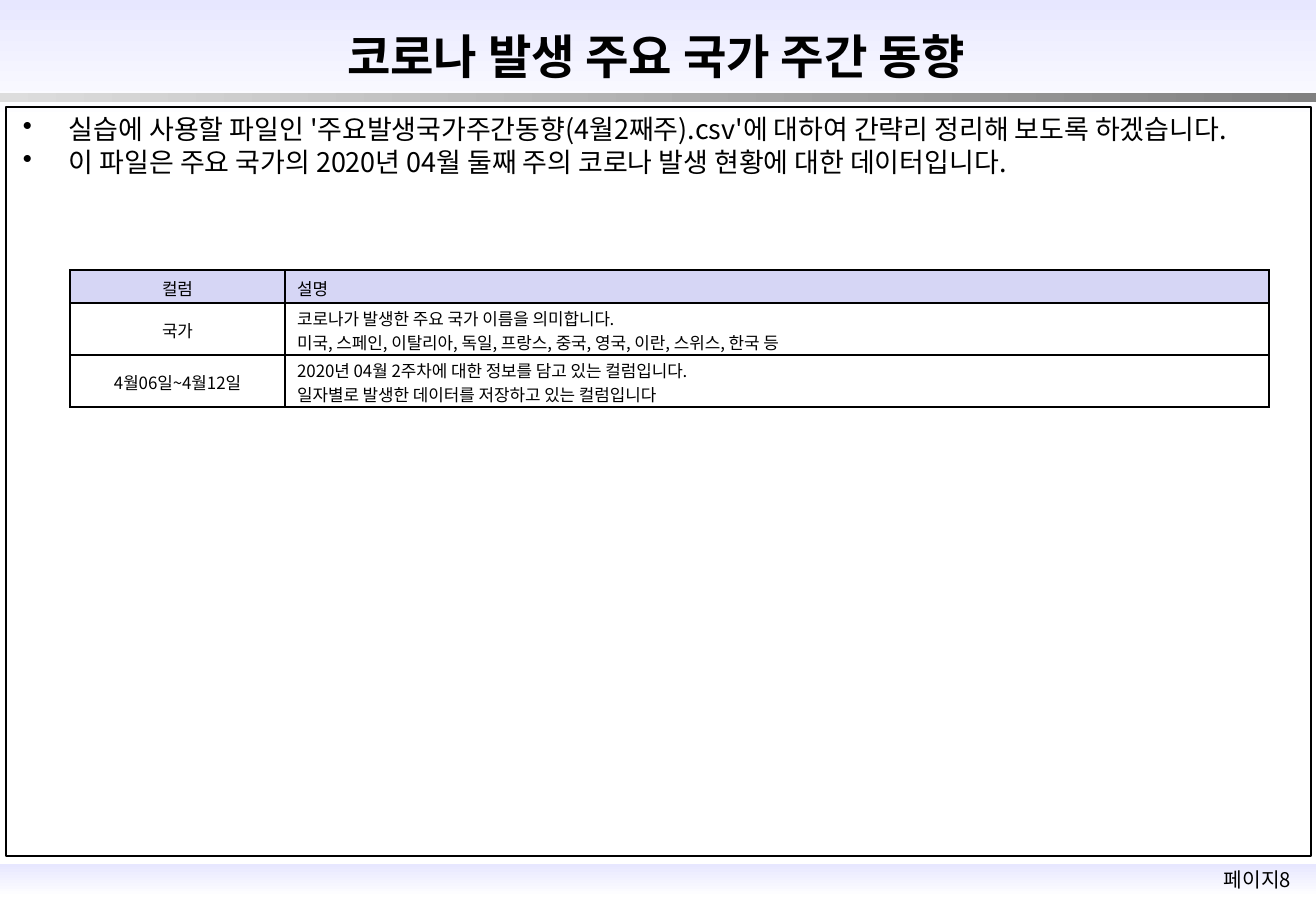
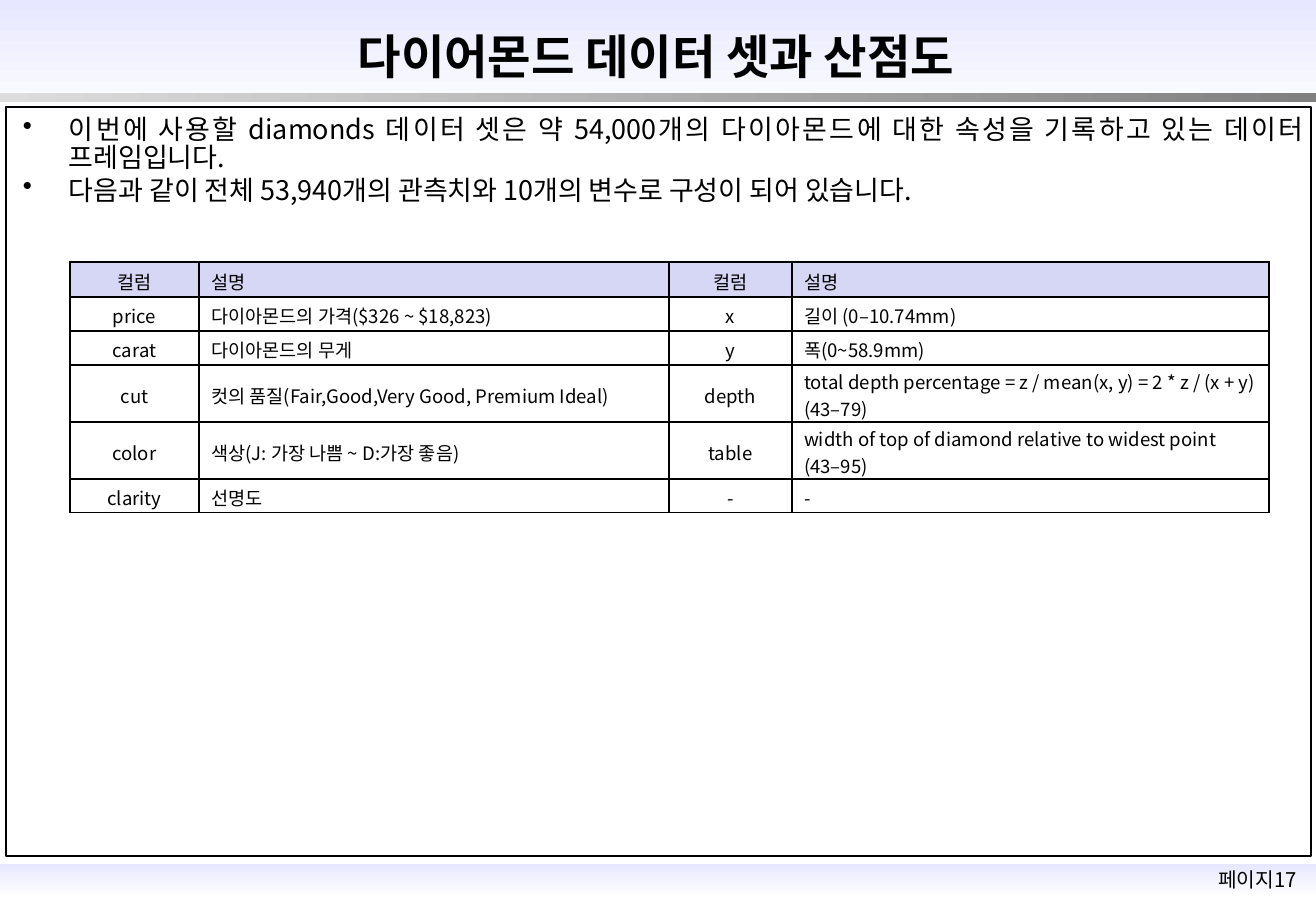
from dataclasses import dataclass

from lxml.etree import SubElement
from pptx import Presentation
from pptx.dml.color import RGBColor as RGB
from pptx.enum.shapes import MSO_SHAPE as Preset
from pptx.enum.text import MSO_ANCHOR as Anchor, PP_ALIGN as Align
from pptx.oxml import parse_xml
from pptx.oxml.ns import nsdecls, qn
from pptx.util import Emu, Pt

PX_PER_INCH = 121.5


def px(length: int) -> Emu:
    return Emu(round(length * 914400 / PX_PER_INCH))


@dataclass(frozen=True)
class Theme:
    font: str = "Noto Sans CJK KR"
    ink: str = "000000"
    paper: str = "FFFFFF"
    lavender: str = "E7E7FF"
    header_cell: str = "D6D6F5"
    stripe_light: str = "DDDDDD"
    stripe_dark: str = "808080"
    title_size: int = 28
    body_size: int = 16
    page_size: int = 12
    frame_width: float = 1.5
    border_width: float = 1


@dataclass(frozen=True)
class Box:
    left: int
    top: int
    width: int
    height: int

    def emu(self) -> tuple[Emu, ...]:
        return tuple(px(n) for n in (self.left, self.top, self.width, self.height))


@dataclass(frozen=True)
class Band:
    box: Box
    start: str
    end: str
    angle: int


@dataclass(frozen=True)
class ColumnGuide:
    top: int
    size: int
    widths: tuple[int, ...]
    heights: tuple[int, ...]
    rows: tuple[tuple[str, ...], ...]


@dataclass(frozen=True)
class Page:
    number: int
    title: str
    bullets: tuple[str, ...]
    bullet_align: Align
    bullets_height: int
    guide: ColumnGuide


THEME = Theme()
SLIDE_WIDTH, SLIDE_HEIGHT = 1316, 911
GUIDE_LEFT = 70
BULLET_INDENT = 46
TITLE_BOX = Box(169, 21, 974, 70)
PAGE_NUMBER_BOX = Box(1193, 861, 129, 36)
FRAME_BOX = Box(6, 107, 1305, 749)
BANDS = (
    Band(Box(0, 864, SLIDE_WIDTH, 33), THEME.lavender, THEME.paper, 270),
    Band(Box(0, 0, SLIDE_WIDTH, 122), THEME.lavender, THEME.paper, 270),
    Band(Box(0, 93, SLIDE_WIDTH, 9), THEME.stripe_light, THEME.stripe_dark, 0),
)

PAGES = (
    Page(
        8, "코로나 발생 주요 국가 주간 동향",
        ("실습에 사용할 파일인 '주요발생국가주간동향(4월2째주).csv'에 대하여 간략리 정리해 보도록 하겠습니다.",
         "이 파일은 주요 국가의 2020년 04월 둘째 주의 코로나 발생 현황에 대한 데이터입니다."),
        Align.LEFT, 157,
        ColumnGuide(270, 10, (215, 984), (33, 52, 52), (
            ("컬럼", "설명"),
            ("국가", "코로나가 발생한 주요 국가 이름을 의미합니다.\n"
                   "미국, 스페인, 이탈리아, 독일, 프랑스, 중국, 영국, 이란, 스위스, 한국 등"),
            ("4월06일~4월12일", "2020년 04월 2주차에 대한 정보를 담고 있는 컬럼입니다.\n"
                             "일자별로 발생한 데이터를 저장하고 있는 컬럼입니다"),
        )),
    ),
    Page(
        17, "다이어몬드 데이터 셋과 산점도",
        ("이번에 사용할 diamonds 데이터 셋은 약 54,000개의 다이아몬드에 대한 속성을 기록하고 있는 데이터 프레임입니다.",
         "다음과 같이 전체 53,940개의 관측치와 10개의 변수로 구성이 되어 있습니다."),
        Align.JUSTIFY, 117,
        ColumnGuide(262, 11, (129, 470, 123, 477), (35, 34, 34, 57, 57, 34), (
            ("컬럼", "설명", "컬럼", "설명"),
            ("price", "다이아몬드의 가격($326 ~ $18,823)", "x", "길이 (0–10.74mm)"),
            ("carat", "다이아몬드의 무게", "y", "폭(0~58.9mm)"),
            ("cut", "컷의 품질(Fair,Good,Very Good, Premium Ideal)",
             "depth", "total depth percentage = z / mean(x, y) = 2 * z / (x + y) (43–79)"),
            ("color", "색상(J: 가장 나쁨 ~ D:가장 좋음)",
             "table", "width of top of diamond relative to widest point (43–95)"),
            ("clarity", "선명도", "-", "-"),
        )),
    ),
)


def add_run(paragraph, text: str, size: int, bold: bool = False) -> None:
    run = paragraph.add_run()
    run.text = text
    run.font.size, run.font.bold, run.font.name = Pt(size), bold, THEME.font
    run.font.color.rgb = RGB.from_string(THEME.ink)
    SubElement(run.font._element, qn("a:ea"), typeface=THEME.font)


def write_lines(frame, lines: tuple[str, ...], size: int, align: Align, bold: bool = False) -> None:
    for index, line in enumerate(lines):
        paragraph = frame.add_paragraph() if index else frame.paragraphs[0]
        paragraph.alignment = align
        add_run(paragraph, line, size, bold)


# Shared background: bands and content frame
def add_band(slide, band: Band):
    shape = slide.shapes.add_shape(Preset.RECTANGLE, *band.box.emu())
    shape.shadow.inherit = False
    shape.line.fill.background()
    shape.fill.gradient()
    shape.fill.gradient_angle = band.angle
    for stop, color, position in zip(shape.fill.gradient_stops, (band.start, band.end), (0, 1)):
        stop.color.rgb = RGB.from_string(color)
        stop.position = position
    return shape


def add_frame(slide):
    shape = slide.shapes.add_shape(Preset.RECTANGLE, *FRAME_BOX.emu())
    shape.shadow.inherit = False
    shape.fill.background()
    shape.line.color.rgb = RGB.from_string(THEME.ink)
    shape.line.width = Pt(THEME.frame_width)
    return shape


def decorate_layout(layout, slide) -> None:
    """Draw the background on a slide, then move it to the layout all slides use."""
    for placeholder in list(layout.placeholders)[1:]:
        layout.shapes.element.remove(placeholder.element)
    for shape in [add_band(slide, band) for band in BANDS] + [add_frame(slide)]:
        layout.shapes.element.append(shape.element)


# Text parts
def set_title(slide, text: str) -> None:
    title = slide.shapes.title
    title.left, title.top, title.width, title.height = TITLE_BOX.emu()
    title.text_frame.vertical_anchor = Anchor.MIDDLE
    write_lines(title.text_frame, (text,), THEME.title_size, Align.CENTER, bold=True)


def add_text(slide, box: Box, lines: tuple[str, ...], size: int, align: Align):
    frame = slide.shapes.add_textbox(*box.emu()).text_frame
    frame.word_wrap = True
    write_lines(frame, lines, size, align)
    return frame


def add_bullets(slide, page: Page) -> None:
    box = Box(11, 112, 1305, page.bullets_height)
    frame = add_text(slide, box, page.bullets, THEME.body_size, page.bullet_align)
    for index, paragraph in enumerate(frame.paragraphs):
        paragraph.line_spacing = 0.85
        paragraph.space_before = Pt(3.2 if index else 0)
        properties = paragraph._p.get_or_add_pPr()
        properties.set("marL", str(px(BULLET_INDENT)))
        properties.set("indent", str(-px(BULLET_INDENT)))
        SubElement(properties, qn("a:buChar"), char="•")


# Column guide table
def add_borders(cell) -> None:
    properties = cell._tc.get_or_add_tcPr()
    for index, side in enumerate("LRTB"):
        properties.insert(index, parse_xml(
            f'<a:ln{side} {nsdecls("a")} w="{Pt(THEME.border_width)}"><a:solidFill>'
            f'<a:srgbClr val="{THEME.ink}"/></a:solidFill></a:ln{side}>'))


def add_guide(slide, guide: ColumnGuide) -> None:
    box = Box(GUIDE_LEFT, guide.top, sum(guide.widths), sum(guide.heights))
    table = slide.shapes.add_table(len(guide.heights), len(guide.widths), *box.emu()).table
    for column, width in zip(table.columns, guide.widths):
        column.width = px(width)
    for row, height in zip(table.rows, guide.heights):
        row.height = px(height)
    for r, texts in enumerate(guide.rows):
        for c, text in enumerate(texts):
            cell = table.cell(r, c)
            cell.margin_top, cell.margin_bottom = px(3), 0
            cell.vertical_anchor = Anchor.MIDDLE
            cell.fill.solid()
            cell.fill.fore_color.rgb = RGB.from_string(THEME.paper if r else THEME.header_cell)
            align = Align.LEFT if c % 2 else Align.CENTER
            write_lines(cell.text_frame, tuple(text.split("\n")), guide.size, align)
            add_borders(cell)


def main() -> None:
    deck = Presentation()
    deck.slide_width, deck.slide_height = px(SLIDE_WIDTH), px(SLIDE_HEIGHT)
    layout = deck.slide_layouts[5]
    for index, page in enumerate(PAGES):
        slide = deck.slides.add_slide(layout)
        if index == 0:
            decorate_layout(layout, slide)
        set_title(slide, page.title)
        add_bullets(slide, page)
        add_guide(slide, page.guide)
        add_text(slide, PAGE_NUMBER_BOX, (f"페이지{page.number}",), THEME.page_size, Align.CENTER)
    deck.save("out.pptx")


if __name__ == "__main__":
    main()
